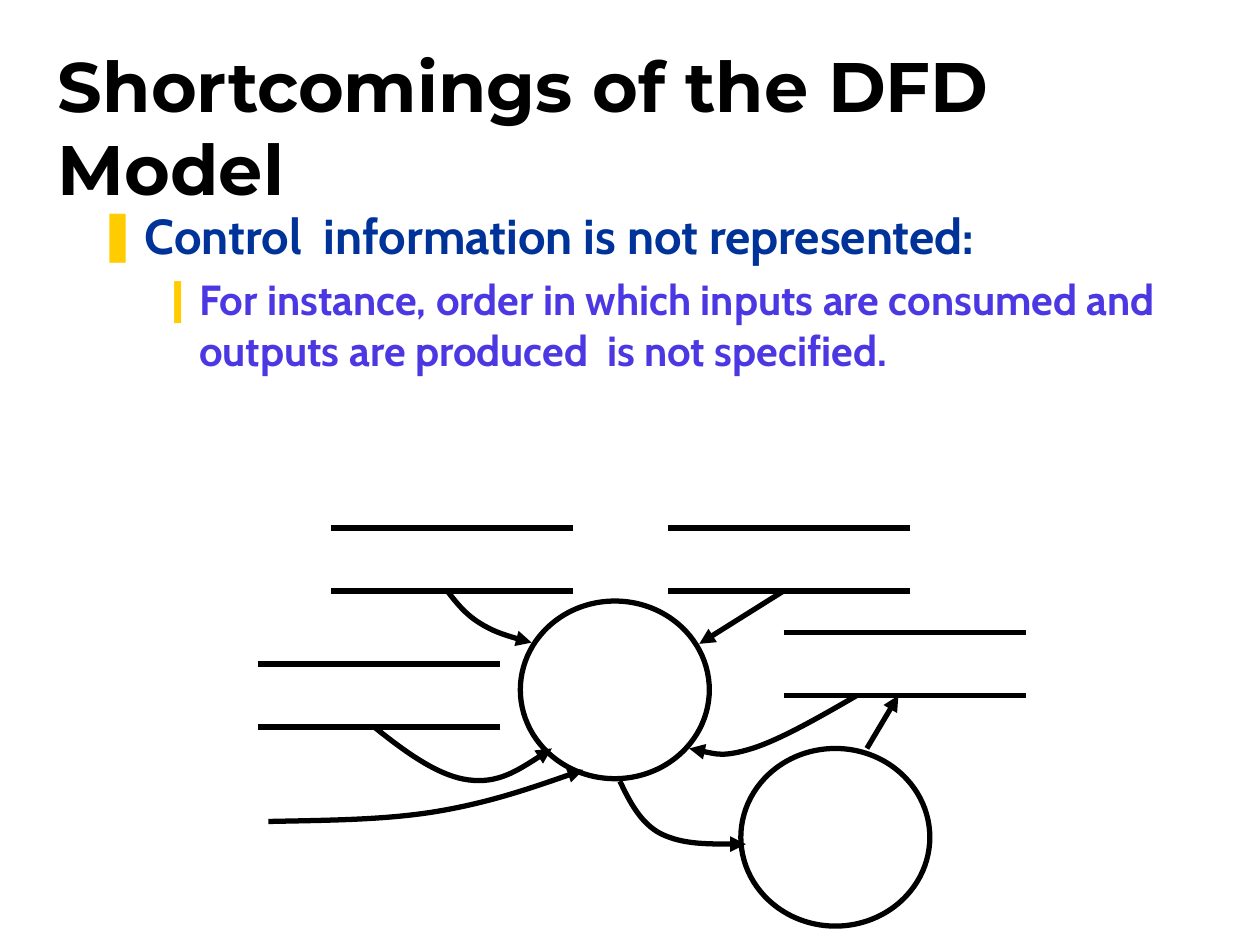
from lxml import etree
from pptx import Presentation
from pptx.dml.color import RGBColor
from pptx.enum.shapes import MSO_CONNECTOR, MSO_SHAPE
from pptx.enum.text import MSO_ANCHOR, MSO_AUTO_SIZE, PP_ALIGN
from pptx.oxml.ns import qn
from pptx.util import Inches, Pt

LINE = MSO_CONNECTOR.STRAIGHT
OVAL = MSO_SHAPE.OVAL
MIDDLE, TOP = MSO_ANCHOR.MIDDLE, MSO_ANCHOR.TOP
LEFT = PP_ALIGN.LEFT
FIXED = MSO_AUTO_SIZE.NONE


def color(text):
    return RGBColor.from_string(text)


def ink(shape, arrow=False):
    """Black 3 pt line without shadow, with an arrowhead if asked for."""
    shape.line.color.rgb = color("000000")
    shape.line.width = Pt(3)
    props = shape._element.spPr
    if arrow:
        line = props.find(qn("a:ln"))
        etree.SubElement(line, qn("a:tailEnd"), type="triangle")
    if props.find(qn("a:effectLst")) is None:
        etree.SubElement(props, qn("a:effectLst"))


prs = Presentation()
prs.slide_width, prs.slide_height = Inches(10), Inches(7.5)
slide = prs.slides.add_slide(prs.slide_layouts[1])
shapes = slide.shapes
title, body = shapes.title, slide.placeholders[1]

# Placeholder frames
for holder, box, anchor in [
    (title, (0.44, 0.29, 8.5, 1.42), MIDDLE),
    (body, (0.75, 1.58, 8.5, 4.5), TOP),
]:
    holder.left, holder.top, holder.width, holder.height = map(Inches, box)
    frame = holder.text_frame
    frame.word_wrap = True
    frame.auto_size = FIXED
    frame.vertical_anchor = anchor
    frame.margin_left = frame.margin_right = Inches(0.02)
    frame.margin_top = frame.margin_bottom = Inches(0.05)

# Title
title.text_frame.text = "Shortcomings of the DFD Model"
head = title.text_frame.paragraphs[0]
head.alignment = LEFT
head.space_before = Pt(0)
font = head.runs[0].font
font.name, font.size, font.bold = "Montserrat", Pt(40), True
font.color.rgb = color("000000")

# Bulleted list: text, size, colour, space before, bullet, margin, hang
items = [
    ("Control  information is not represented:",
     28, "003399", 0, "❚", 0.38, 0.38),
    ("For instance, order in which inputs are consumed and "
     "outputs are produced  is not specified.",
     24, "4C38E2", 5.5, "❙", 0.81, 0.31),
]
body.text_frame.text = "\n".join(item[0] for item in items)
for level, (para, item) in enumerate(zip(body.text_frame.paragraphs, items)):
    _, size, shade, space, mark, margin, hang = item
    para.level = level
    props = para._p.get_or_add_pPr()
    props.set("marL", str(Inches(margin)))
    props.set("indent", str(-Inches(hang)))
    tint = etree.SubElement(props, qn("a:buClr"))
    etree.SubElement(tint, qn("a:srgbClr"), val="FFCC00")
    etree.SubElement(props, qn("a:buChar"), char=mark)
    para.alignment = LEFT
    para.space_before = Pt(space)
    font = para.runs[0].font
    font.name, font.size, font.bold = "Cabin", Pt(size), True
    font.color.rgb = color(shade)

# Processes
for x, y in [(4.13, 4.77), (5.88, 5.94)]:
    circle = shapes.add_shape(
        OVAL, Inches(x), Inches(y), Inches(1.5), Inches(1.41))
    circle.fill.background()
    ink(circle)

# Data stores: two parallel lines each
for x, y in [(2.05, 5.27), (5.3, 4.19), (2.63, 4.19), (6.22, 5.02)]:
    for edge in (y, y + 0.5):
        ink(shapes.add_connector(
            LINE, Inches(x), Inches(edge), Inches(x + 1.92), Inches(edge)))

# Straight flows
for ends in [(6.22, 4.69, 5.55, 5.11), (6.88, 5.94, 7.13, 5.52)]:
    ink(shapes.add_connector(LINE, *map(Inches, ends)), arrow=True)

# Curved flows: a start point, then three points per Bezier segment
flows = [
    [(4.92, 6.2), (5, 6.37), (5.09, 6.54), (5.25, 6.62),
     (5.42, 6.7), (5.67, 6.7), (5.92, 6.7)],
    [(2.97, 5.77), (3.22, 5.97), (3.48, 6.16), (3.72, 6.19),
     (3.95, 6.22), (4.17, 6.08), (4.38, 5.94)],
    [(3.55, 4.69), (3.62, 4.78), (3.69, 4.87), (3.8, 4.94),
     (3.91, 5.01), (4.06, 5.06), (4.22, 5.1)],
    [(6.8, 5.52), (6.49, 5.7), (6.19, 5.87), (5.97, 5.94),
     (5.74, 6.01), (5.61, 5.97), (5.47, 5.94)],
    [(2.13, 6.52), (2.59, 6.51), (3.05, 6.51), (3.47, 6.44),
     (3.88, 6.37), (4.26, 6.24), (4.63, 6.11)],
]
for flow in flows:
    start, *rest = [(Inches(x), Inches(y)) for x, y in flow]
    pen = shapes.build_freeform(*start)
    pen.add_line_segments(rest, close=False)
    curve = pen.convert_to_shape()
    curve.fill.background()
    ink(curve, arrow=True)
    # Turn each three line steps into one cubic curve
    route = curve._element.spPr.find(".//" + qn("a:path"))
    steps = route.findall(qn("a:lnTo"))
    for first in range(0, len(steps), 3):
        cubic = etree.SubElement(route, qn("a:cubicBezTo"))
        for step in steps[first:first + 3]:
            cubic.append(step[0])
            route.remove(step)

prs.save("out.pptx")
